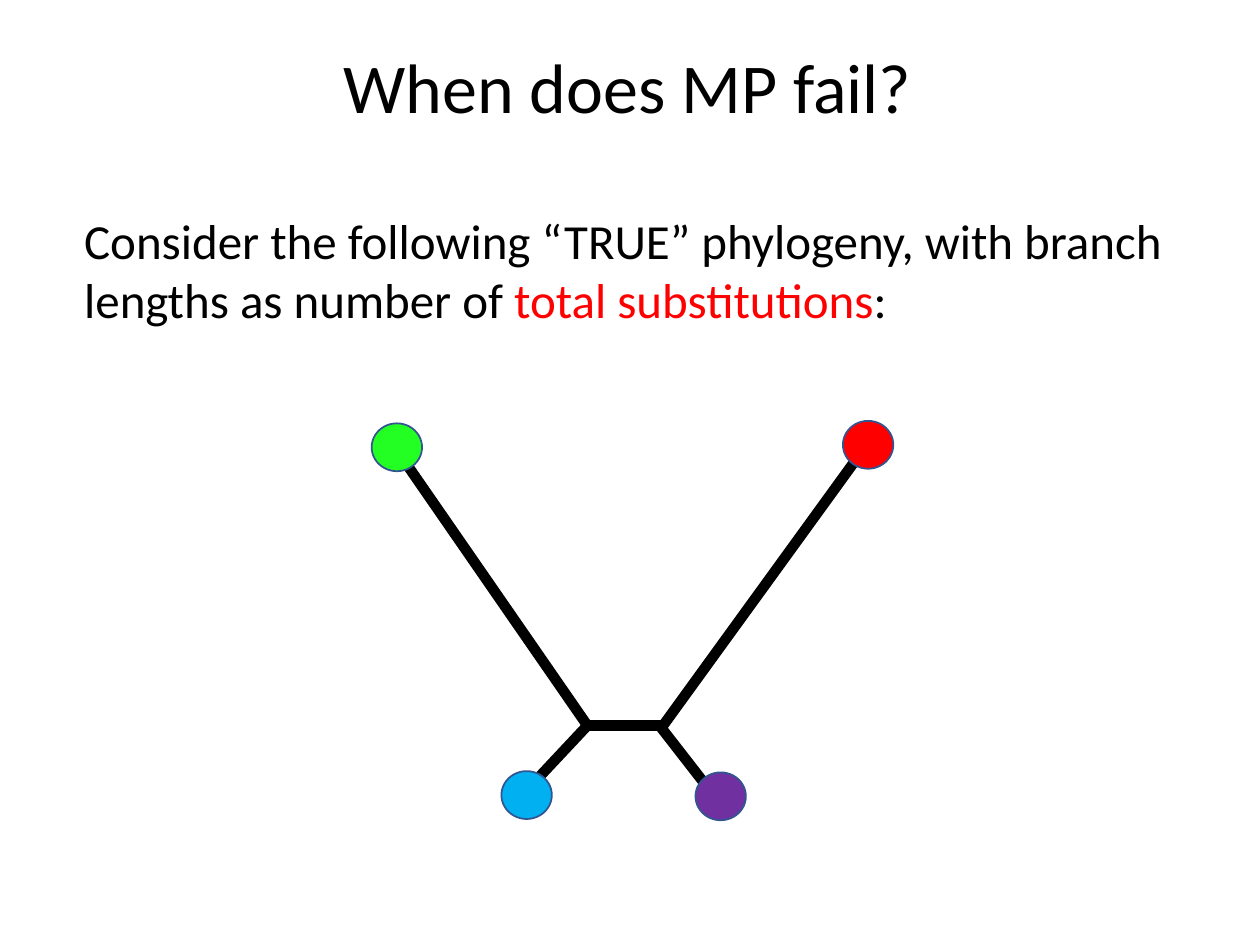
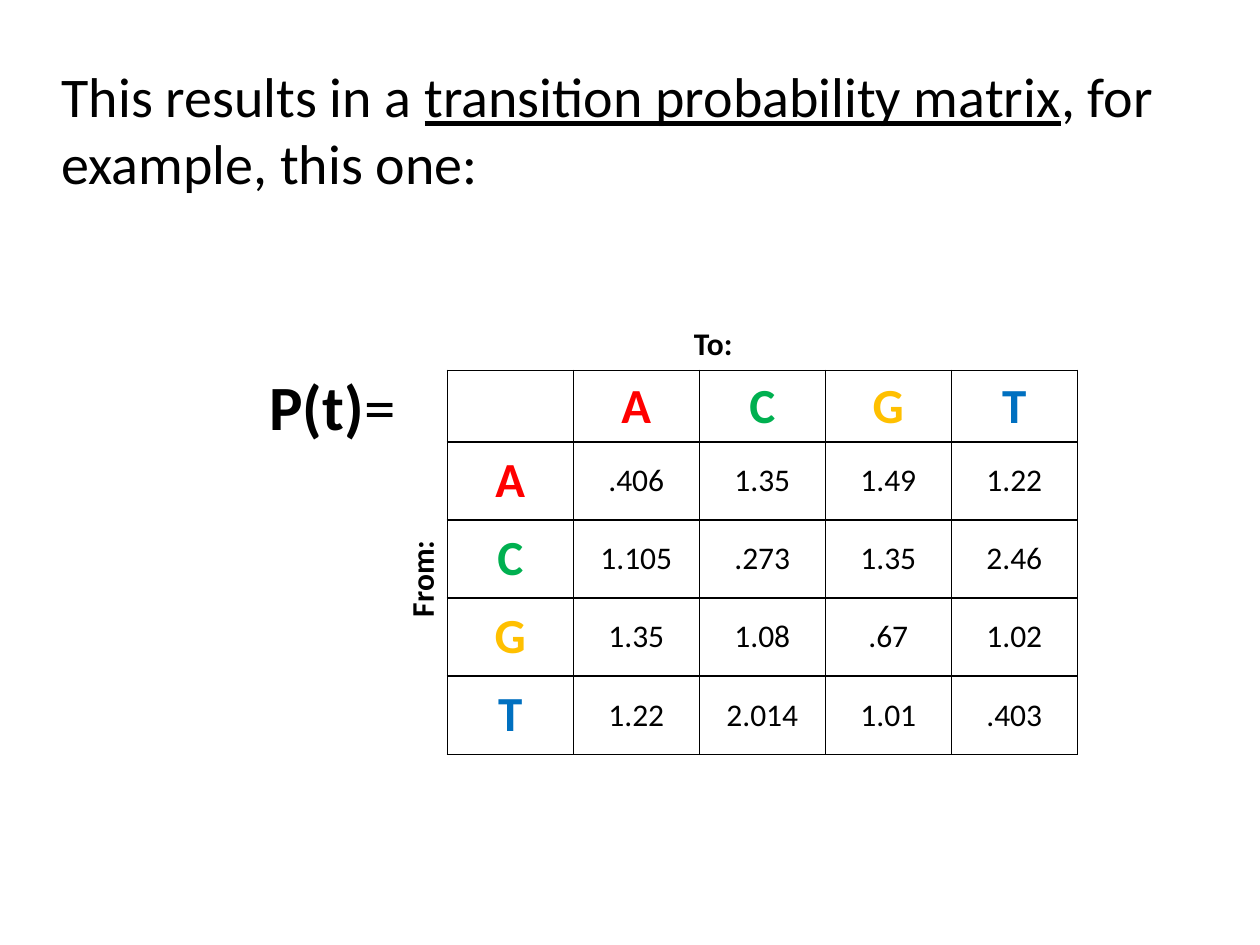
from lxml.etree import SubElement
from pptx import Presentation
from pptx.dml.color import RGBColor
from pptx.enum.shapes import MSO_CONNECTOR, MSO_SHAPE
from pptx.enum.text import MSO_ANCHOR as ANCHOR, MSO_AUTO_SIZE as AUTO, PP_ALIGN as ALIGN
from pptx.oxml.ns import qn
from pptx.util import Pt

PX = 9144
FONT = "Calibri"
BLACK = RGBColor(0x00, 0x00, 0x00)
WHITE = RGBColor(0xFF, 0xFF, 0xFF)
RED = RGBColor(0xFF, 0x00, 0x00)
LIME = RGBColor(0x23, 0xFF, 0x23)
PURPLE = RGBColor(0x70, 0x30, 0xA0)
SKY = RGBColor(0x00, 0xB0, 0xF0)
OUTLINE = RGBColor(0x32, 0x54, 0x91)
GREEN = RGBColor(0x00, 0xB0, 0x50)
GOLD = RGBColor(0xFF, 0xC0, 0x00)
BLUE = RGBColor(0x00, 0x70, 0xC0)

BASES = [("A", RED), ("C", GREEN), ("G", GOLD), ("T", BLUE)]
RATES = [
    [".406", "1.35", "1.49", "1.22"],
    ["1.105", ".273", "1.35", "2.46"],
    ["1.35", "1.08", ".67", "1.02"],
    ["1.22", "2.014", "1.01", ".403"],
]
BRANCHES = [
    ((232, 242), (169, 242)),
    ((172, 243), (24, 29)),
    ((227, 240), (269, 294)),
    ((229, 245), (390, 23)),
    ((127, 289), (172, 241)),
]
LEAVES = [(0, 2, LIME), (257, 279, PURPLE), (374, 0, RED), (103, 278, SKY)]
LEAF_W, LEAF_H = 40, 38


def px(*lengths):
    return [n * PX for n in lengths]


def style(p, size, color=BLACK, bold=False):
    p.font.name = FONT
    p.font.size = Pt(size)
    p.font.color.rgb = color
    p.font.bold = bold


def add_text(slide, box, texts, size, bold=False, wrap=True):
    sp = slide.shapes.add_textbox(*px(*box))
    tf = sp.text_frame
    tf.word_wrap = wrap
    tf.auto_size = AUTO.SHAPE_TO_FIT_TEXT
    p = tf.paragraphs[0]
    style(p, size, bold=bold)
    for text in texts:
        p.add_run().text = text
    return sp


def set_title(slide, box, text):
    sp = slide.shapes.title
    sp.left, sp.top, sp.width, sp.height = px(*box)
    tf = sp.text_frame
    tf.text = text
    tf.auto_size = AUTO.NONE
    tf.vertical_anchor = ANCHOR.MIDDLE
    p = tf.paragraphs[0]
    p.alignment = ALIGN.CENTER
    p.line_spacing = 0.9
    style(p, 40)


def add_tree(slide, left, top):
    for (x1, y1), (x2, y2) in BRANCHES:
        branch = slide.shapes.add_connector(
            MSO_CONNECTOR.STRAIGHT,
            *px(left + x1, top + y1, left + x2, top + y2))
        branch.line.color.rgb = BLACK
        branch.line.width = Pt(6)
        SubElement(branch.element.spPr, qn("a:effectLst"))
    for x, y, color in LEAVES:
        leaf = slide.shapes.add_shape(
            MSO_SHAPE.OVAL, *px(left + x, top + y, LEAF_W, LEAF_H))
        leaf.shadow.inherit = False
        leaf.fill.solid()
        leaf.fill.fore_color.rgb = color
        leaf.line.color.rgb = OUTLINE
        leaf.line.width = Pt(1)


def add_borders(cell):
    tcPr = cell._tc.get_or_add_tcPr()
    for i, side in enumerate(("lnL", "lnR", "lnT", "lnB")):
        ln = tcPr.makeelement(qn(f"a:{side}"), {"w": str(Pt(1))})
        fill = SubElement(ln, qn("a:solidFill"))
        SubElement(fill, qn("a:srgbClr"), val=str(BLACK))
        tcPr.insert(i, ln)


def fill_cell(cell, text, size, color=BLACK, bold=False):
    cell.text = text
    cell.vertical_anchor = ANCHOR.MIDDLE
    p = cell.text_frame.paragraphs[0]
    p.alignment = ALIGN.CENTER
    style(p, size, color, bold)


def add_matrix(slide, left, top, col_w=100, head_h=56, row_h=62):
    n = len(BASES) + 1
    table = slide.shapes.add_table(
        n, n, *px(left, top, n * col_w, head_h + (n - 1) * row_h)).table
    table.first_row = table.horz_banding = False
    for i in range(n):
        table.columns[i].width = col_w * PX
        table.rows[i].height = (row_h if i else head_h) * PX
    for cell in table.iter_cells():
        cell.fill.solid()
        cell.fill.fore_color.rgb = WHITE
        add_borders(cell)
    for i, (base, color) in enumerate(BASES, 1):
        fill_cell(table.cell(0, i), base, 28, color, True)
        fill_cell(table.cell(i, 0), base, 28, color, True)
        for j, rate in enumerate(RATES[i - 1], 1):
            fill_cell(table.cell(i, j), rate, 18)

    source = add_text(slide, (left - 61, top + 145, 81, 40), ["From:"], 18, True, False)
    source.rotation = 270
    add_text(slide, (left + 186, top - 42, 53, 40), ["To:"], 18, True, False)
    name = add_text(slide, (left - 151, top - 7, 129, 71), ["P(t)", "="], 36, wrap=False)
    name.text_frame.paragraphs[0].runs[0].font.bold = True


def build_phylogeny(prs):
    slide = prs.slides.add_slide(prs.slide_layouts.get_by_name("Title Only"))
    set_title(slide, (103, 24, 790, 96), "When does MP fail?")
    intro = add_text(slide, (57, 162, 876, 104), [
        "Consider the following “TRUE” phylogeny, with branch lengths as number of ",
        "total substitutions", ":"], 28)
    intro.text_frame.paragraphs[0].runs[1].font.color.rgb = RED
    add_tree(slide, 295, 334)


def build_transition(prs):
    slide = prs.slides.add_slide(prs.slide_layouts.get_by_name("Blank"))
    intro = add_text(slide, (39, 44, 927, 118), [
        "This results in a ", "transition probability matrix",
        ", for example, this one:"], 32)
    intro.text_frame.paragraphs[0].runs[1].font.underline = True
    add_matrix(slide, 355, 294)


def main():
    prs = Presentation()
    prs.slide_width, prs.slide_height = px(1000, 750)
    build_phylogeny(prs)
    build_transition(prs)
    prs.save("out.pptx")


if __name__ == "__main__":
    main()
